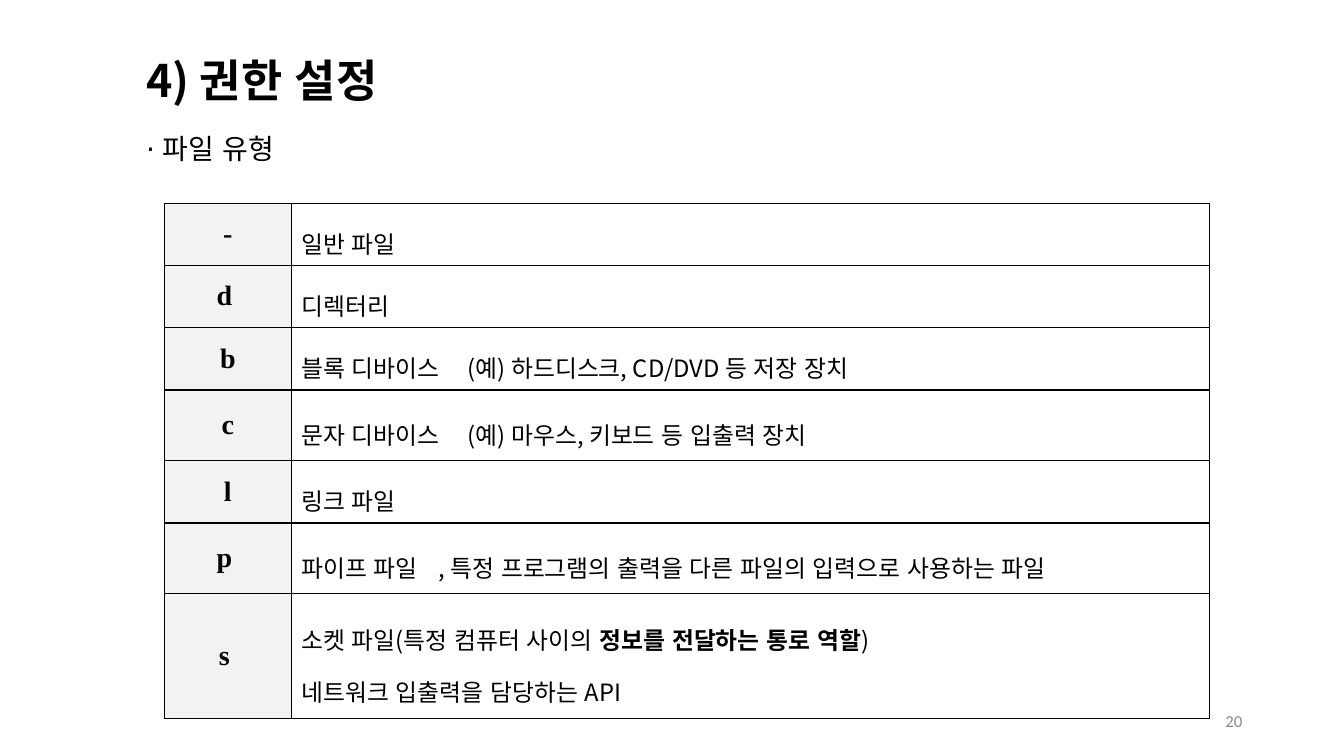
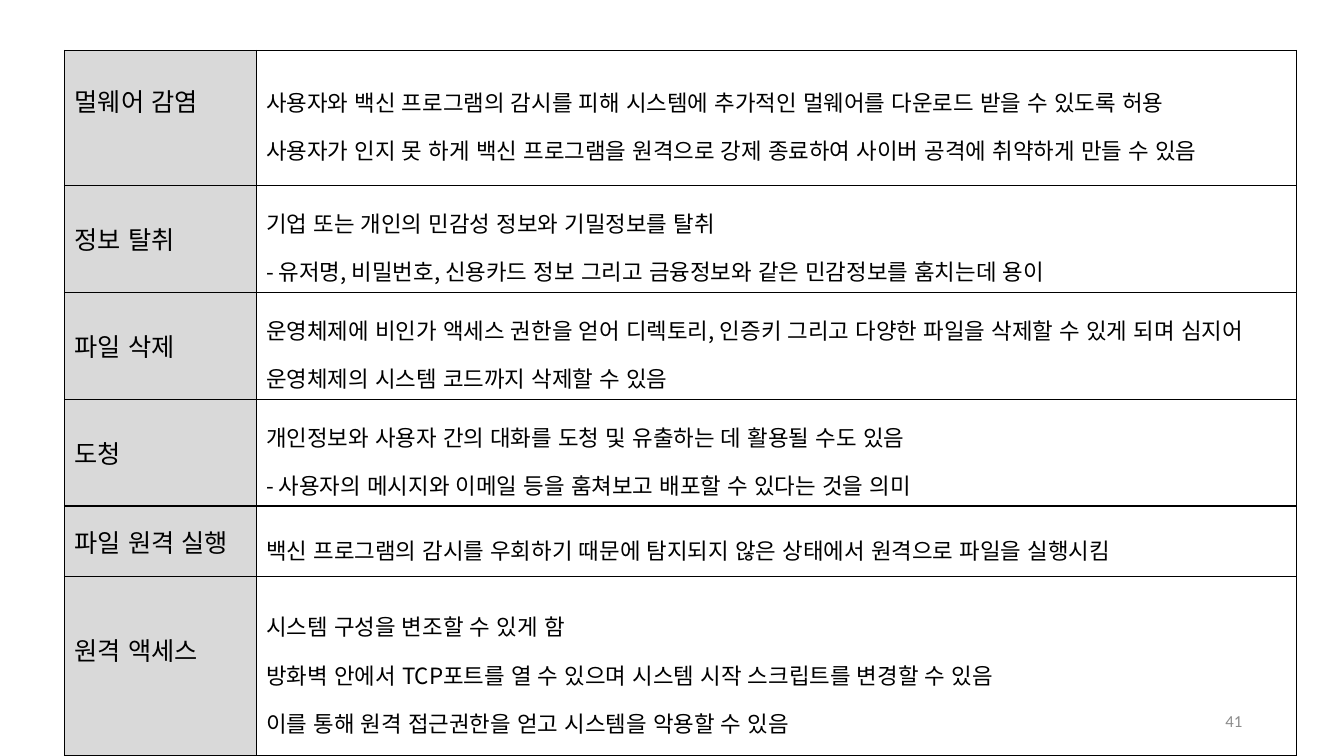
import pptx
import pptx.util
import pptx.dml.color
import pptx.enum.lang
import pptx.enum.text
import pptx.oxml
import pptx.oxml.ns

Inches = pptx.util.Inches
Pt = pptx.util.Pt
Anchor = pptx.enum.text.MSO_ANCHOR
Align = pptx.enum.text.PP_ALIGN

COLORS = {"ink": "000000", "paper": "FFFFFF", "pale": "F2F2F2",
          "grey": "D9D9D9", "number": "8C8C8C"}
KOREAN, SERIF, SANS = "Noto Sans CJK KR", "Times New Roman", "Calibri"
LANGUAGE = pptx.enum.lang.MSO_LANGUAGE_ID.KOREAN
SPACER = 0.34
TAB_STOPS = (1.36, 1.65)

FILE_TYPES = [
    ("-", ["일반 파일"]),
    ("d ", ["디렉터리"]),
    ("b", ["블록 디바이스\t(예) 하드디스크, CD/DVD 등 저장 장치"]),
    ("c", ["문자 디바이스\t(예) 마우스, 키보드 등 입출력 장치"]),
    ("l", ["링크 파일"]),
    ("p ", ["파이프 파일\t, 특정 프로그램의 출력을 다른 파일의 입력으로 사용하는 파일"]),
    ("s ", [[("소켓 파일(특정 컴퓨터 사이의 ", {}),
             ("정보를 전달하는 통로 역할", {"bold": True}), (")", {})],
            "네트워크 입출력을 담당하는 API"]),
]
THREATS = [
    ("멀웨어 감염", [
        "사용자와 백신 프로그램의 감시를 피해 시스템에 추가적인 멀웨어를 다운로드 받을 수 있도록 허용",
        "사용자가 인지 못 하게 백신 프로그램을 원격으로 강제 종료하여 사이버 공격에 취약하게 만들 수 있음"]),
    ("정보 탈취", [
        "기업 또는 개인의 민감성 정보와 기밀정보를 탈취",
        "- 유저명, 비밀번호, 신용카드 정보 그리고 금융정보와 같은 민감정보를 훔치는데 용이"]),
    ("파일 삭제", [
        "운영체제에 비인가 액세스 권한을 얻어 디렉토리, 인증키 그리고 다양한 파일을 삭제할 수 있게 되며 "
        "심지어 운영체제의 시스템 코드까지 삭제할 수 있음"]),
    ("도청", [
        "개인정보와 사용자 간의 대화를 도청 및 유출하는 데 활용될 수도 있음",
        "- 사용자의 메시지와 이메일 등을 훔쳐보고 배포할 수 있다는 것을 의미"]),
    ("파일 원격 실행", [
        "백신 프로그램의 감시를 우회하기 때문에 탐지되지 않은 상태에서 원격으로 파일을 실행시킴"]),
    ("원격 액세스", [
        "시스템 구성을 변조할 수 있게 함",
        "방화벽 안에서 TCP포트를 열 수 있으며 시스템 시작 스크립트를 변경할 수 있음",
        "이를 통해 원격 접근권한을 얻고 시스템을 악용할 수 있음"]),
]
SLIDES = [
    {"title": "4) 권한 설정",
     "subtitle": [("⋅ ", {}), ("파일 유형", {"name": SERIF})],
     "number": "20", "rows": FILE_TYPES,
     "at": (1.63, 2.02), "columns": (1.26, 9.11),
     "heights": (0.61, 0.62, 0.62, 0.7, 0.62, 0.7, 1.24),
     "label": {"size": 20, "name": SERIF, "bold": True},
     "label_align": Align.CENTER, "label_fill": "pale", "raised": (),
     "detail": {"size": 17}},
    {"number": "41", "rows": THREATS,
     "at": (0.64, 0.5), "columns": (1.9, 10.32),
     "heights": (1.34, 1.06, 1.06, 1.06, 0.7, 1.78),
     "label": {"size": 18},
     "label_align": Align.LEFT, "label_fill": "grey", "raised": (0, 5),
     "detail": {"size": 16}},
]


def rgb(key):
    return pptx.dml.color.RGBColor.from_string(COLORS[key])


def write(frame, paragraphs, style, align=Align.LEFT, spacing=None, color="ink"):
    for index, content in enumerate(paragraphs):
        paragraph = frame.paragraphs[0] if index == 0 else frame.add_paragraph()
        paragraph.alignment = align
        if spacing:
            paragraph.line_spacing = spacing
        runs = [(content, {})] if isinstance(content, str) else content
        for text, extra in runs:
            run = paragraph.add_run()
            run.text = text
            looks = {"name": KOREAN, "bold": False, "language_id": LANGUAGE,
                     **style, **extra}
            looks["size"] = Pt(looks["size"])
            for attribute, value in looks.items():
                setattr(run.font, attribute, value)
            run.font.color.rgb = rgb(color)
            east_asian = pptx.oxml.parse_xml(
                f'<a:ea {pptx.oxml.ns.nsdecls("a")} typeface="{KOREAN}"/>')
            run.font._element.find(pptx.oxml.ns.qn("a:latin")).addnext(east_asian)
        if any("\t" in text for text, _ in runs):
            stops = "".join(f'<a:tab pos="{Inches(stop)}" algn="l"/>' for stop in TAB_STOPS)
            paragraph._p.get_or_add_pPr().append(pptx.oxml.parse_xml(
                f'<a:tabLst {pptx.oxml.ns.nsdecls("a")}>{stops}</a:tabLst>'))


def add_text(slide, box, paragraphs, style, anchor=Anchor.TOP, **layout):
    area = slide.shapes.add_textbox(*map(Inches, box))
    area.text_frame.word_wrap = True
    area.text_frame.vertical_anchor = anchor
    write(area.text_frame, paragraphs, style, **layout)


def format_cell(cell, fill):
    properties = cell._tc.get_or_add_tcPr()
    for side in "LRTB":
        properties.append(pptx.oxml.parse_xml(
            f'<a:ln{side} {pptx.oxml.ns.nsdecls("a")} w="{Pt(1)}"><a:solidFill>'
            f'<a:srgbClr val="{COLORS["ink"]}"/></a:solidFill></a:ln{side}>'))
    cell.fill.solid()
    cell.fill.fore_color.rgb = rgb(fill)
    cell.vertical_anchor = Anchor.MIDDLE


def add_definitions(slide, data):
    columns, heights = data["columns"], data["heights"]
    box = (*data["at"], sum(columns), sum(heights))
    table = slide.shapes.add_table(len(heights), len(columns), *map(Inches, box)).table
    table.first_row = table.horz_banding = False
    for column, width in zip(table.columns, columns):
        column.width = Inches(width)
    for index, (label, details) in enumerate(data["rows"]):
        table.rows[index].height = Inches(heights[index])
        term, meaning = table.cell(index, 0), table.cell(index, 1)
        format_cell(term, data["label_fill"])
        format_cell(meaning, "paper")
        write(term.text_frame, [label], data["label"], data["label_align"])
        write(meaning.text_frame, details, data["detail"], spacing=1.5)
        if index in data["raised"]:
            term.margin_bottom = Inches(0.05 + SPACER)


def add_title(slide, text):
    title = slide.shapes.title
    place = {"left": 1.35, "top": 0.47, "width": 2.76, "height": 0.64}
    for side, length in place.items():
        setattr(title, side, Inches(length))
    frame = title.text_frame
    settings = {"word_wrap": False, "vertical_anchor": Anchor.TOP,
                "auto_size": pptx.enum.text.MSO_AUTO_SIZE.SHAPE_TO_FIT_TEXT}
    for attribute, value in settings.items():
        setattr(frame, attribute, value)
    write(frame, [text], {"size": 32, "bold": True})


def main():
    deck = pptx.Presentation()
    deck.slide_width, deck.slide_height = Inches(13.33), Inches(7.5)
    title_only, blank = deck.slide_layouts[5], deck.slide_layouts[6]
    for data in SLIDES:
        slide = deck.slides.add_slide(title_only if "title" in data else blank)
        if "title" in data:
            add_title(slide, data["title"])
            add_text(slide, (1.35, 1.26, 6.18, 0.78), [data["subtitle"]], {"size": 20})
        add_definitions(slide, data)
        add_text(slide, (9.42, 6.95, 3, 0.4), [data["number"]],
                 {"size": 12, "name": SANS}, Anchor.MIDDLE,
                 align=Align.RIGHT, color="number")
    deck.save("out.pptx")


if __name__ == "__main__":
    main()
